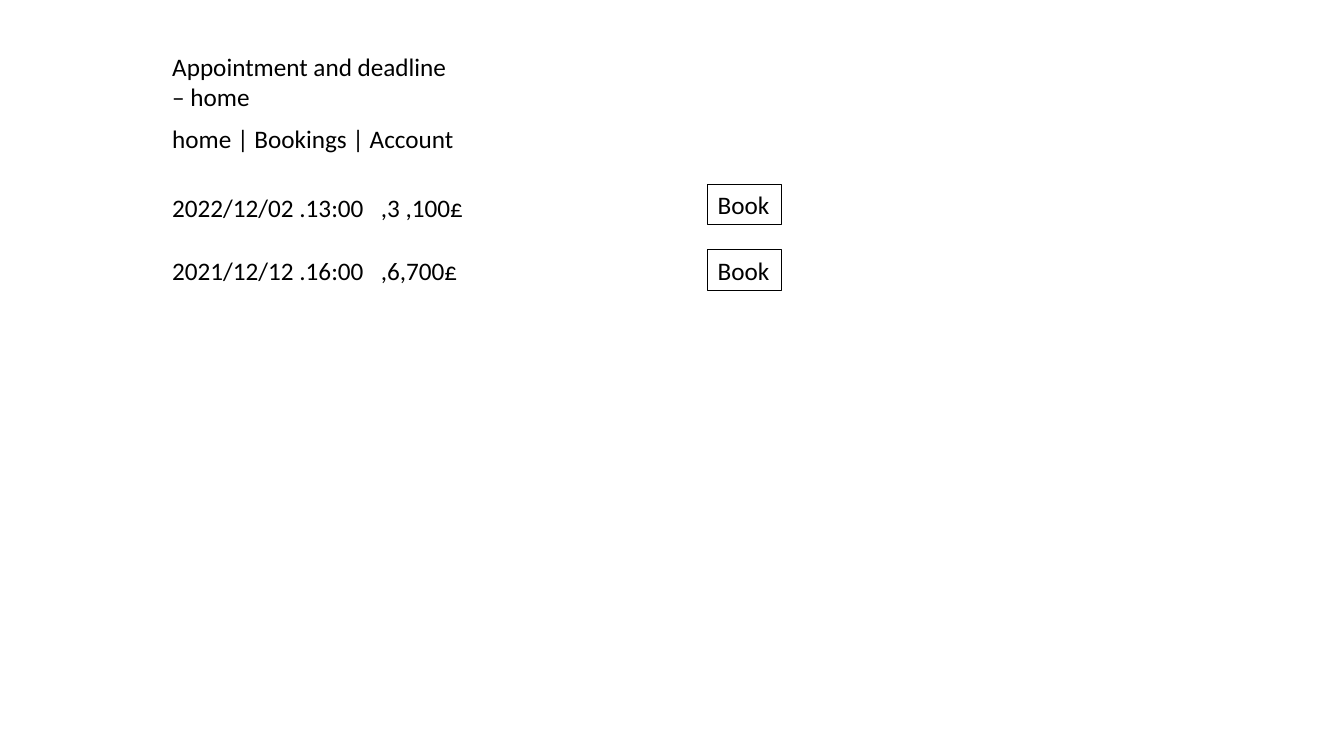
from lxml.etree import SubElement
from pptx import Presentation
from pptx.dml.color import RGBColor
from pptx.enum.shapes import MSO_SHAPE as Preset
from pptx.enum.text import MSO_ANCHOR as Anchor, MSO_AUTO_SIZE as AutoSize, PP_ALIGN as Align
from pptx.oxml.ns import qn
from pptx.util import Inches, Pt

LEFT = 1.61
LINE_HEIGHT = 0.4
PRICE_TAB = 2.07


def color(value):
    """Turn a hex string into a colour."""
    return RGBColor.from_string(value)


class Page:
    """Holds the text style and the current slide."""

    font, size, ink = "Calibri", 18, "000000"

    def __init__(self, slide):
        """Remember the slide to draw on."""
        self.slide = slide

    def fill_text(self, shape, lines, wrap=True):
        """Fill a shape with one paragraph per line."""
        frame = shape.text_frame
        frame.word_wrap = wrap
        frame.auto_size = AutoSize.SHAPE_TO_FIT_TEXT
        frame.vertical_anchor = Anchor.TOP
        for index, line in enumerate(lines):
            paragraph = frame.add_paragraph() if index else frame.paragraphs[0]
            paragraph.alignment = Align.LEFT
            if "\t" in line:
                self.tab_stop(paragraph, PRICE_TAB)
            run = paragraph.add_run()
            run.text = line
            run.font.name = self.font
            run.font.size = Pt(self.size)
            run.font.color.rgb = color(self.ink)

    def tab_stop(self, paragraph, position):
        """Set a left tab stop on a paragraph."""
        tabs = SubElement(paragraph._p.get_or_add_pPr(), qn("a:tabLst"))
        SubElement(tabs, qn("a:tab"), pos=str(Inches(position)), algn="l")

    def text(self, top, width, *lines, height=LINE_HEIGHT):
        """Add a text box at the left margin."""
        box = self.slide.shapes.add_textbox(
            Inches(LEFT), Inches(top), Inches(width), Inches(height))
        self.fill_text(box, lines)

    def button(self, top, label):
        """Add an outlined button in the right column."""
        shape = self.slide.shapes.add_shape(
            Preset.RECTANGLE, Inches(7.02), Inches(top), Inches(0.73), Inches(LINE_HEIGHT))
        shape.shadow.inherit = False
        shape.fill.background()
        shape.line.color.rgb = color(self.ink)
        shape.line.width = Pt(0.75)
        self.fill_text(shape, [label], wrap=False)


presentation = Presentation()
presentation.slide_width = Inches(13.33)
presentation.slide_height = Inches(7.5)
page = Page(presentation.slides.add_slide(presentation.slide_layouts[6]))

page.text(0.46, 3.99, "Appointment and deadline", "– home", height=0.71)
page.text(1.17, 3.27, "home | Bookings | Account")

appointments = [
    (1.86, 1.83, "2022/12/02 .13:00\t,3 ,100£"),
    (2.48, 2.48, "2021/12/12 .16:00\t,6,700£"),
]
for text_top, button_top, details in appointments:
    page.text(text_top, 5.2, details)
    page.button(button_top, "Book")

presentation.save("out.pptx")
